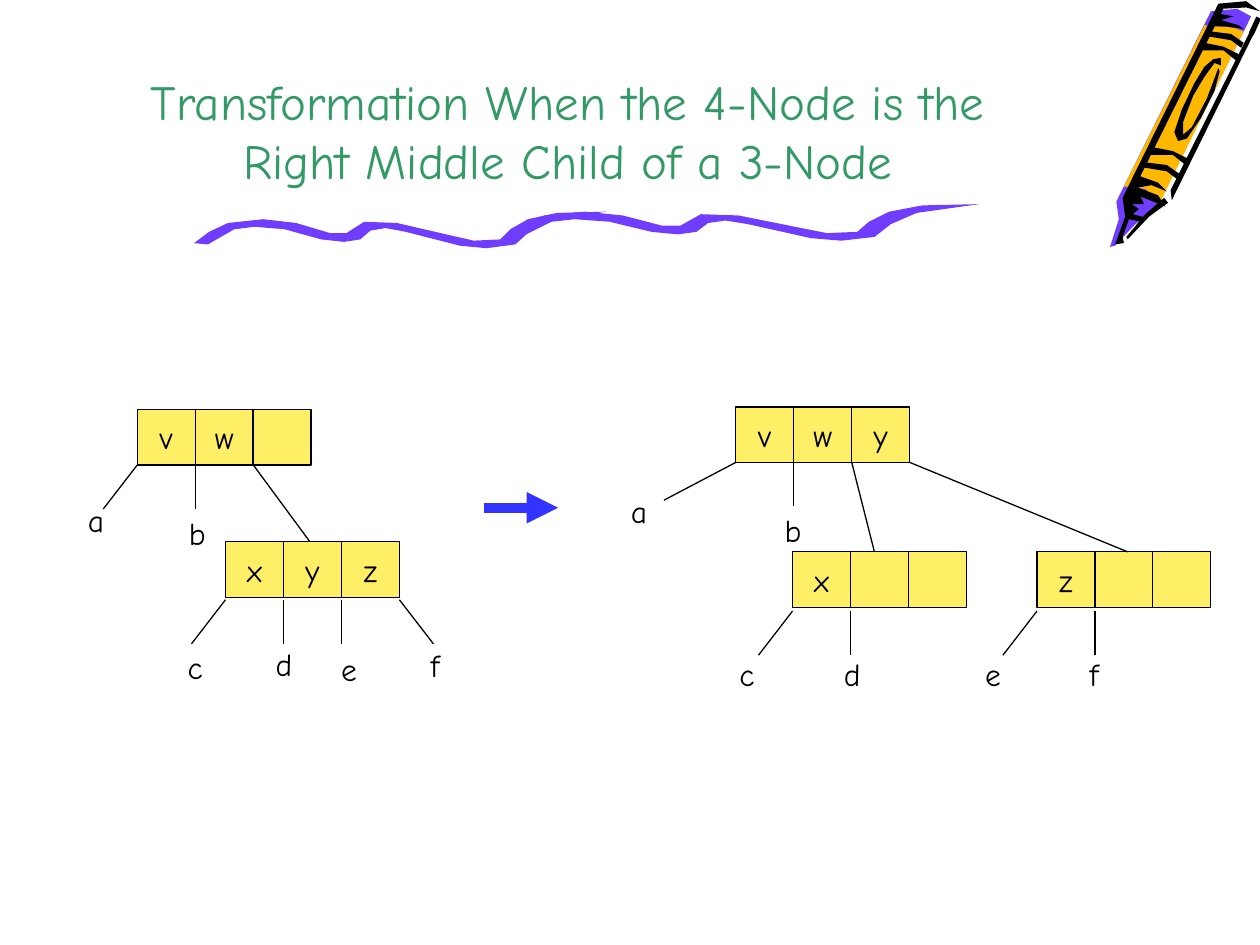
from lxml.etree import SubElement
from pptx import Presentation
from pptx.dml.color import RGBColor
from pptx.enum.shapes import MSO_CONNECTOR, MSO_SHAPE
from pptx.enum.text import MSO_ANCHOR, PP_ALIGN
from pptx.oxml.ns import qn
from pptx.util import Inches, Pt

FONT = "Comic Neue"
BLACK = RGBColor(0, 0, 0)
PURPLE = RGBColor(0x70, 0x3D, 0xFF)
ORANGE = RGBColor(0xFF, 0xB8, 0x00)
GREEN = RGBColor(0x33, 0x99, 0x66)
YELLOW = RGBColor(0xFF, 0xEF, 0x66)
BLUE = RGBColor(0x33, 0x33, 0xFF)

TITLE = "Transformation When the 4-Node is the Right Middle Child of a 3-Node"
CELL_W, CELL_H = 0.46, 0.44
DROP = 0.35   # height of a leg to a subtree
LEAN = 0.27   # sideways run of an outer leg

# Node: left, top, gap above its legs, keys,
# legs as (subtree, slot, run, drop, label left, label top)
NODES = {
    "old root": (1.09, 3.25, 0, ("v", "w", ""), [
        ("a", 0, -LEAN, DROP, 0.60, 3.93),
        ("b", 1, 0, DROP, 1.40, 4.03)]),
    "4-node": (1.79, 4.30, 0.02, ("x", "y", "z"), [
        ("c", 0, -LEAN, DROP, 1.39, 5.09),
        ("d", 1, 0, DROP, 2.09, 5.07),
        ("e", 2, 0, DROP, 2.61, 5.11),
        ("f", 3, LEAN, DROP, 3.32, 5.08)]),
    "new root": (5.84, 3.23, 0, ("v", "w", "y"), [
        ("a", 0, -0.57, 0.30, 4.91, 3.86),
        ("b", 1, 0, DROP, 6.13, 4.01)]),
    "left half": (6.29, 4.38, 0.03, ("x", "", ""), [
        ("c", 0, -LEAN, DROP, 5.77, 5.15),
        ("d", 1, 0, DROP, 6.60, 5.15)]),
    "right half": (8.23, 4.38, 0.03, ("z", "", ""), [
        ("e", 0, -LEAN, DROP, 7.72, 5.15),
        ("f", 1, 0, DROP, 8.55, 5.15)]),
}
# Parent, slot, child, distance along the child's top
LINKS = [("old root", 2, "4-node", 0.67),
         ("new root", 2, "left half", 0.65),
         ("new root", 3, "right half", 0.72)]

# One wave, from its left end: lower edge rightwards, upper edge back
WAVE_LOW = [(0, 0.25), (0.11, 0.26), (0.32, 0.14), (0.48, 0.12), (0.72, 0.14),
            (1.01, 0.22), (1.19, 0.24), (1.32, 0.22), (1.40, 0.15),
            (1.52, 0.13), (1.68, 0.16), (2.11, 0.27), (2.32, 0.29),
            (2.55, 0.26), (2.66, 0.16), (2.84, 0.07), (3.27, 0)]
WAVE_TOP = [(2.88, 0.01), (2.65, 0.06), (2.51, 0.14), (2.43, 0.22),
            (2.22, 0.23), (2.00, 0.18), (1.61, 0.09), (1.35, 0.08),
            (1.21, 0.17), (1.08, 0.17), (0.81, 0.09), (0.55, 0.06),
            (0.27, 0.09), (0.12, 0.16)]
# Left, top, horizontal stretch
WAVES = [(1.54, 1.68, 1), (4.01, 1.62, 1.15)]

# Crayon parts, back to front
CRAYON = {
    "wax": (PURPLE, [
        (9.93, 0.13), (9.17, 1.66), (9.01, 1.78), (8.85, 1.95), (8.81, 1.96),
        (8.88, 1.74), (8.86, 1.60), (9.61, 0.09), (9.82, 0.07)]),
    "wrapper": (ORANGE, [
        (9.21, 1.60), (9.09, 1.50), (8.92, 1.48), (9.56, 0.20), (9.79, 0.22),
        (9.87, 0.25)]),
    "tip edge": (BLACK, [
        (9.27, 1.61), (9.12, 1.72), (8.95, 1.90), (8.94, 1.88), (9.09, 1.70),
        (9.24, 1.57)]),
    "end shade": (BLACK, [
        (9.87, 0.23), (9.73, 0.21), (9.61, 0.21), (9.68, 0.11), (9.79, 0.13),
        (9.69, 0.16), (9.83, 0.20)]),
    "oval": (BLACK, [
        (9.68, 0.57), (9.64, 0.72), (9.53, 0.94), (9.42, 1.10), (9.35, 1.12),
        (9.32, 1.05), (9.38, 0.87), (9.48, 0.66), (9.56, 0.53), (9.63, 0.47),
        (9.69, 0.46), (9.69, 0.52), (9.64, 0.50), (9.56, 0.61), (9.47, 0.76),
        (9.39, 0.97), (9.39, 1.07), (9.46, 1.01), (9.58, 0.78),
        (9.67, 0.54)]),
    "right edge": (BLACK, [
        (9.97, 0.23), (9.30, 1.59), (9.29, 1.51), (9.93, 0.23)]),
    "left edge": (BLACK, [
        (9.25, 1.64), (9.19, 1.55), (9.03, 1.49), (9.14, 1.47), (9.26, 1.52),
        (9.19, 1.45), (9.05, 1.40), (9.71, 0.07), (9.89, 0.06), (10, 0.09),
        (9.89, 0.01), (9.67, 0.03), (8.91, 1.57), (8.93, 1.72), (8.85, 1.94),
        (8.92, 1.93), (8.91, 1.88), (8.96, 1.74), (9.05, 1.76), (9.10, 1.73),
        (8.99, 1.70), (9.04, 1.66), (8.98, 1.62), (9.08, 1.62),
        (9.05, 1.56)]),
}
# Wrapper stripes, from their left corner, and the places of each
BENT = [(0, 0), (0.02, -0.04), (0.18, -0.02), (0.28, 0.05), (0.26, 0.09),
        (0.18, 0.03)]
FLAT = [(0, 0), (0.03, -0.06), (0.18, -0.03), (0.30, 0.03), (0.28, 0.08),
        (0.18, 0)]
STRIPES = [(BENT, [(9.08, 1.33), (9.59, 0.29)]),
           (FLAT, [(9.13, 1.23), (9.53, 0.40)])]


def place(points, left, top, stretch=1):
    return [(left + x * stretch, top + y) for x, y in points]


def outline(shapes, color, points):
    dots = [(Inches(x), Inches(y)) for x, y in points]
    pen = shapes.build_freeform(*dots[0])
    pen.add_line_segments(dots[1:], close=True)
    shape = pen.convert_to_shape()
    shape.shadow.inherit = False
    shape.fill.solid()
    shape.fill.fore_color.rgb = color
    shape.line.fill.background()


def line(shapes, *ends, color=BLACK, width=0.75):
    link = shapes.add_connector(MSO_CONNECTOR.STRAIGHT, *map(Inches, ends))
    link.line.color.rgb = color
    link.line.width = Pt(width)
    SubElement(link._element.spPr, qn("a:effectLst"))
    return link


def write(shape, text, size=18, color=BLACK, align=PP_ALIGN.LEFT,
          anchor=MSO_ANCHOR.TOP, wrap=True):
    frame = shape.text_frame
    frame.word_wrap, frame.vertical_anchor = wrap, anchor
    para = frame.paragraphs[0]
    para.text, para.alignment = text, align
    para.font.name, para.font.size = FONT, Pt(size)
    para.font.color.rgb = color


def textbox(shapes, *place):
    return shapes.add_textbox(*map(Inches, place))


def cell(shapes, left, top, key):
    box = shapes.add_shape(MSO_SHAPE.RECTANGLE,
                           *map(Inches, (left, top, CELL_W, CELL_H)))
    box.shadow.inherit = False
    box.fill.solid()
    box.fill.fore_color.rgb = YELLOW
    box.line.color.rgb = BLACK
    box.line.width = Pt(0.75)
    if key:
        write(box, key, align=PP_ALIGN.CENTER, anchor=MSO_ANCHOR.MIDDLE,
              wrap=False)


def node(shapes, left, top, gap, keys, legs):
    """Draw the cells of a node and the legs to its labelled subtrees."""
    for i, key in enumerate(keys):
        cell(shapes, left + i * CELL_W, top, key)
    start = top + CELL_H + gap
    for name, slot, run, drop, *spot in legs:
        x = left + slot * CELL_W
        line(shapes, x, start, x + run, start + drop)
        write(textbox(shapes, *spot, 0.3, 0.4), name)


def decorate(shapes):
    for color, points in CRAYON.values():
        outline(shapes, color, points)
    for stripe, spots in STRIPES:
        for spot in spots:
            outline(shapes, BLACK, place(stripe, *spot))
    line(shapes, 9.99, 0.14, 9.93, 0.27, width=3)
    for spot in WAVES:
        outline(shapes, PURPLE, place(WAVE_LOW + WAVE_TOP, *spot))


def main():
    deck = Presentation()
    deck.slide_width, deck.slide_height = Inches(10), Inches(7.5)
    shapes = deck.slides.add_slide(deck.slide_layouts[6]).shapes
    decorate(shapes)
    write(textbox(shapes, 0.75, 0, 7.51, 1.55), TITLE, 28, GREEN,
          PP_ALIGN.CENTER, MSO_ANCHOR.BOTTOM)
    for parts in NODES.values():
        node(shapes, *parts)
    for parent, slot, child, along in LINKS:
        (left, top), (x, y) = NODES[parent][:2], NODES[child][:2]
        line(shapes, left + slot * CELL_W, top + CELL_H, x + along, y)
    arrow = line(shapes, 3.84, 4.03, 4.43, 4.03, color=BLUE, width=6)
    SubElement(arrow.line._get_or_add_ln(), qn("a:tailEnd"), type="triangle")
    deck.save("out.pptx")


if __name__ == "__main__":
    main()
